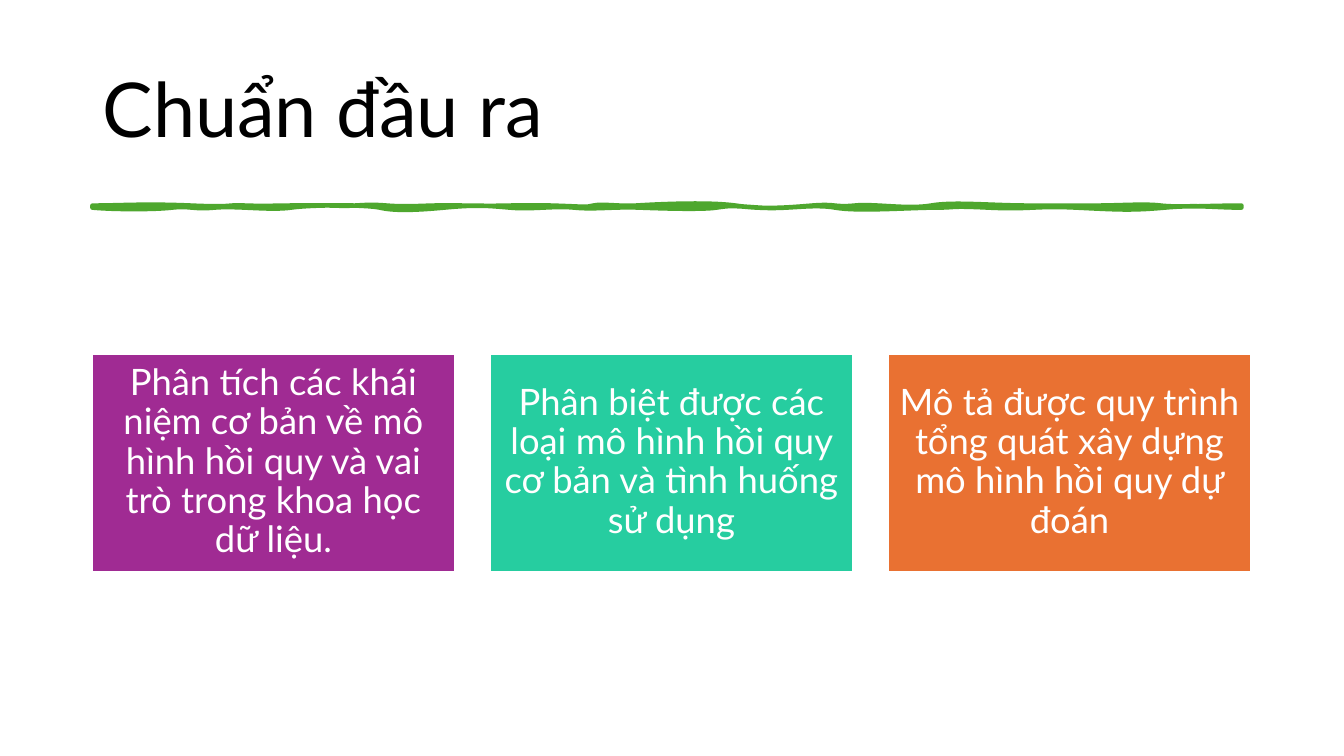
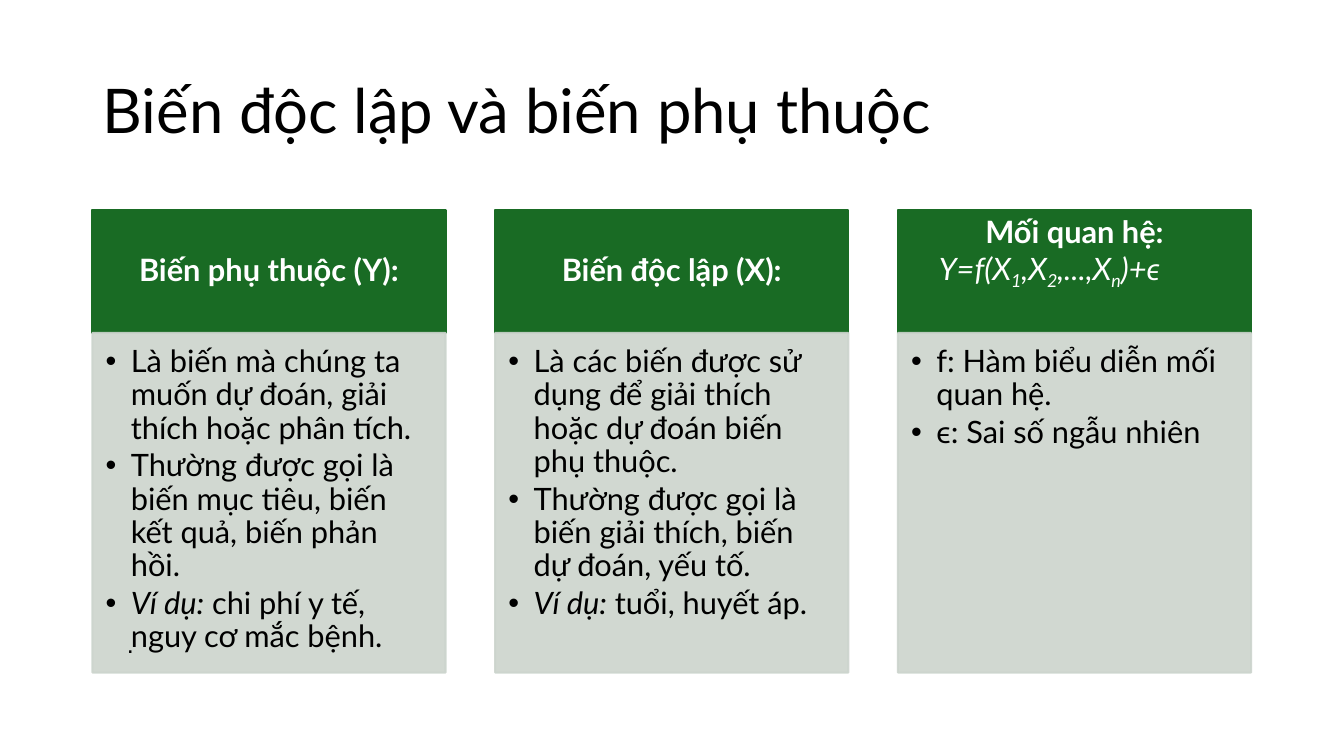
from lxml import etree
from pptx import Presentation
from pptx.dml.color import RGBColor
from pptx.enum.shapes import MSO_SHAPE
from pptx.enum.text import MSO_ANCHOR, MSO_AUTO_SIZE, PP_ALIGN
from pptx.oxml.ns import qn
from pptx.util import Cm, Pt

RECT = MSO_SHAPE.RECTANGLE
TOP, MIDDLE = MSO_ANCHOR.TOP, MSO_ANCHOR.MIDDLE
LEFT, CENTER = PP_ALIGN.LEFT, PP_ALIGN.CENTER
NO_FIT = MSO_AUTO_SIZE.NONE

BLACK = RGBColor(0x00, 0x00, 0x00)
WHITE = RGBColor(0xFF, 0xFF, 0xFF)
LIME = RGBColor(0x4E, 0xA7, 0x2E)
GREEN = RGBColor(0x19, 0x6B, 0x24)
GREY = RGBColor(0xCC, 0xD4, 0xCD)
PURPLE = RGBColor(0xA0, 0x2B, 0x93)
TEAL = RGBColor(0x26, 0xCD, 0xA0)
ORANGE = RGBColor(0xE9, 0x71, 0x32)

FONT = "Lato"
MARGIN = Cm(2.33)
INCH = Cm(2.54)

CARDS = [
    (PURPLE, "Phân tích các khái niệm cơ bản về mô hình hồi quy và vai trò trong khoa học dữ liệu."),
    (TEAL, "Phân biệt được các loại mô hình hồi quy cơ bản và tình huống sử dụng"),
    (ORANGE, "Mô tả được quy trình tổng quát xây dựng mô hình hồi quy dự đoán"),
]

BOLD = {"bold": True}
ITALIC = {"italic": True}
SUB = {"italic": True, "sub": True}

# Each column: head paragraphs, then body paragraphs, as lists of (text, format) runs
COLUMNS = [
    ([[("Biến phụ thuộc (Y):", BOLD)]],
     [[("Là biến mà chúng ta muốn dự đoán, giải thích hoặc phân tích.", {})],
      [("Thường được gọi là biến mục tiêu, biến kết quả, biến phản hồi.", {})],
      [("Ví dụ:", ITALIC), (" chi phí y tế, nguy cơ mắc bệnh.", {})]]),
    ([[("Biến độc lập (X):", BOLD)]],
     [[("Là các biến được sử dụng để giải thích hoặc dự đoán biến phụ thuộc.", {})],
      [("Thường được gọi là biến giải thích, biến dự đoán, yếu tố.", {})],
      [("Ví dụ:", ITALIC), (" tuổi, huyết áp.", {})]]),
    ([[("Mối quan hệ:", BOLD)],
      [("Y=f(X", ITALIC), ("1", SUB), (",X", ITALIC), ("2", SUB),
       (",...,X", ITALIC), ("n", SUB), (")+ϵ", ITALIC)]],
     [[("f: Hàm biểu diễn mối quan hệ.", {})],
      [("ϵ: Sai số ngẫu nhiên", {})]]),
]

# Bezier pieces in hundredths of an inch: x1, dy1, x2, dy2, end x
UPPER = [
    (27, 0, 52, -2, 98), (145, 2, 128, -1, 152), (175, 1, 211, -1, 239),
    (268, 1, 267, -2, 292), (318, 2, 331, -1, 368), (406, 1, 422, -1, 456),
    (489, 1, 489, 2, 497), (506, -2, 523, 1, 539), (555, -1, 609, -4, 638),
    (667, 4, 689, 2, 714), (739, -2, 735, 2, 756), (776, -2, 809, 4, 832),
    (855, -4, 890, 0, 931), (971, 0, 971, 0, 995), (1020, 0, 1044, -2, 1060),
    (1076, 2, 1111, 0, 1140),
]
LOWER = [
    (1113, 0, 1097, -3, 1064), (1030, 3, 1018, 2, 976), (935, -2, 931, 2, 889),
    (847, -2, 860, 0, 836), (812, 0, 759, 4, 737), (714, -4, 690, 2, 661),
    (632, -2, 633, -2, 619), (606, 2, 569, 1, 543), (517, -1, 498, 2, 478),
    (459, -2, 436, 2, 414), (391, -2, 381, -3, 349), (317, 3, 298, 3, 285),
    (271, -3, 218, -3, 197), (176, 3, 143, -2, 121), (100, 2, 97, -2, 79),
    (62, 2, 22, 2, 0),
]


def put(obj, **fmt):
    for name, value in fmt.items():
        setattr(obj, name, value)


def inset(frame, left, top, right, bottom):
    put(frame, margin_left=Cm(left), margin_top=Cm(top),
        margin_right=Cm(right), margin_bottom=Cm(bottom))


def write(para, runs, size, color, font=FONT, **fmt):
    put(para, **fmt)
    for text, style in runs:
        run = para.add_run()
        run.text = text
        put(run.font, name=font, size=Pt(size))
        run.font.color.rgb = color
        for name, value in style.items():
            if name == "sub":
                run._r.get_or_add_rPr().set("baseline", "-25000")
            else:
                setattr(run.font, name, value)


def fill(frame, paras, size, color, **fmt):
    """Write all paragraphs into a text frame and return them."""
    for index, runs in enumerate(paras):
        para = frame.add_paragraph() if index else frame.paragraphs[0]
        write(para, runs, size, color, **fmt)
    return frame.paragraphs


def paint(shape, color, edge, width):
    shape.shadow.inherit = False
    shape.fill.solid()
    shape.fill.fore_color.rgb = color
    shape.line.color.rgb = edge
    shape.line.width = Pt(width)


def fade(shape, percent):
    for tint in shape._element.spPr.iter(qn("a:srgbClr")):
        etree.SubElement(tint, qn("a:alpha")).set("val", str(percent * 1000))


def indent(para, left, first=0):
    props = para._p.get_or_add_pPr()
    props.set("marL", str(Cm(left)))
    props.set("indent", str(Cm(first)))
    return props


def bullet(para):
    props = indent(para, 0.64, -0.64)
    etree.SubElement(props, qn("a:buFont")).set("typeface", "Arial")
    etree.SubElement(props, qn("a:buChar")).set("char", "•")


def block(slide, box, color, edge, anchor):
    shape = slide.shapes.add_shape(RECT, *box)
    paint(shape, color, edge, 1.5)
    put(shape.text_frame, word_wrap=True, vertical_anchor=anchor)
    return shape


def start(deck, text, size):
    """Add a slide with its title."""
    slide = deck.slides.add_slide(deck.slide_layouts[5])
    title = slide.shapes.title
    put(title, left=MARGIN, top=Cm(1.02), width=Cm(29.21), height=Cm(3.68))
    frame = title.text_frame
    put(frame, vertical_anchor=MIDDLE, word_wrap=True, auto_size=NO_FIT)
    fill(frame, [[(text, {})]], size, BLACK, alignment=LEFT, line_spacing=0.9)
    return slide


def bend(line, controls):
    """Turn a straight segment into a Bezier curve with two control points."""
    line.tag = qn("a:cubicBezTo")
    for index, (x, y) in enumerate(controls):
        point = etree.Element(qn("a:pt"), x=str(x), y=str(y))
        line.insert(index, point)


def brush(slide, left, top):
    """Draw the uneven stroke under the title."""
    edges = [(piece, 0) for piece in UPPER] + [(piece, 2) for piece in LOWER]
    ends = [(piece[4], base) for piece, base in edges]
    ends.insert(len(UPPER), (1140, 2))
    pen = slide.shapes.build_freeform(0, 0, scale=INCH / 100)
    pen.add_line_segments(ends, close=True)
    stroke = pen.convert_to_shape(left, top)
    paint(stroke, LIME, LIME, 3.25)

    lines = list(stroke._element.iter(qn("a:lnTo")))
    sides = lines[:len(UPPER)] + lines[len(UPPER) + 1:]
    for line, ((x1, y1, x2, y2, _), base) in zip(sides, edges):
        bend(line, [(x1, base + y1), (x2, base + y2)])


def card(slide, box, color, text):
    frame = block(slide, box, color, WHITE, MIDDLE).text_frame
    inset(frame, 0.25, 0.25, 0.25, 0.28)
    fill(frame, [[(text, {})]], 26, WHITE, alignment=CENTER, line_spacing=0.9)


def column(slide, box, head, body):
    left, top, width, height = box
    cap = Cm(3.1)
    pair = len(head) > 1
    frame = block(slide, (left, top, width, cap), GREEN, GREEN,
                  TOP if pair else MIDDLE).text_frame
    inset(frame, 0.43, 0.17 if pair else 0.25, 0.43, 0.25)
    paras = fill(frame, head, 22, WHITE, alignment=CENTER, line_spacing=0.9)
    if pair:
        paras[1].alignment = LEFT
        indent(paras[1], 0.6)

    panel = block(slide, (left, top + cap, width, height - cap), GREY, GREY, TOP)
    fade(panel, 90)
    inset(panel.text_frame, 0.33, 0.33, 0.43, 0.48)
    for para in fill(panel.text_frame, body, 22, BLACK, alignment=LEFT,
                     line_spacing=0.9, space_after=Pt(3.3)):
        bullet(para)


def goals(deck):
    slide = start(deck, "Chuẩn đầu ra", 54)
    brush(slide, MARGIN, Cm(5.18))
    for index, (color, text) in enumerate(CARDS):
        left = MARGIN + index * Cm(10.03)
        card(slide, (left, Cm(8.93), Cm(9.13), Cm(5.48)), color, text)


def terms(deck):
    slide = start(deck, "Biến độc lập và biến phụ thuộc", 44)
    for index, (head, body) in enumerate(COLUMNS):
        left = MARGIN + index * Cm(10.15)
        column(slide, (left, Cm(5.29), Cm(8.9), Cm(11.66)), head, body)
    note = slide.shapes.add_textbox(Cm(2.95), Cm(15.7), Cm(20.3), Cm(1.02))
    note.text_frame.word_wrap = True
    fill(note.text_frame, [[(".", {})]], 18, BLACK, font="Arial")


def main():
    deck = Presentation()
    put(deck, slide_width=Cm(33.87), slide_height=Cm(19.05))
    goals(deck)
    terms(deck)
    deck.save("out.pptx")


if __name__ == "__main__":
    main()
